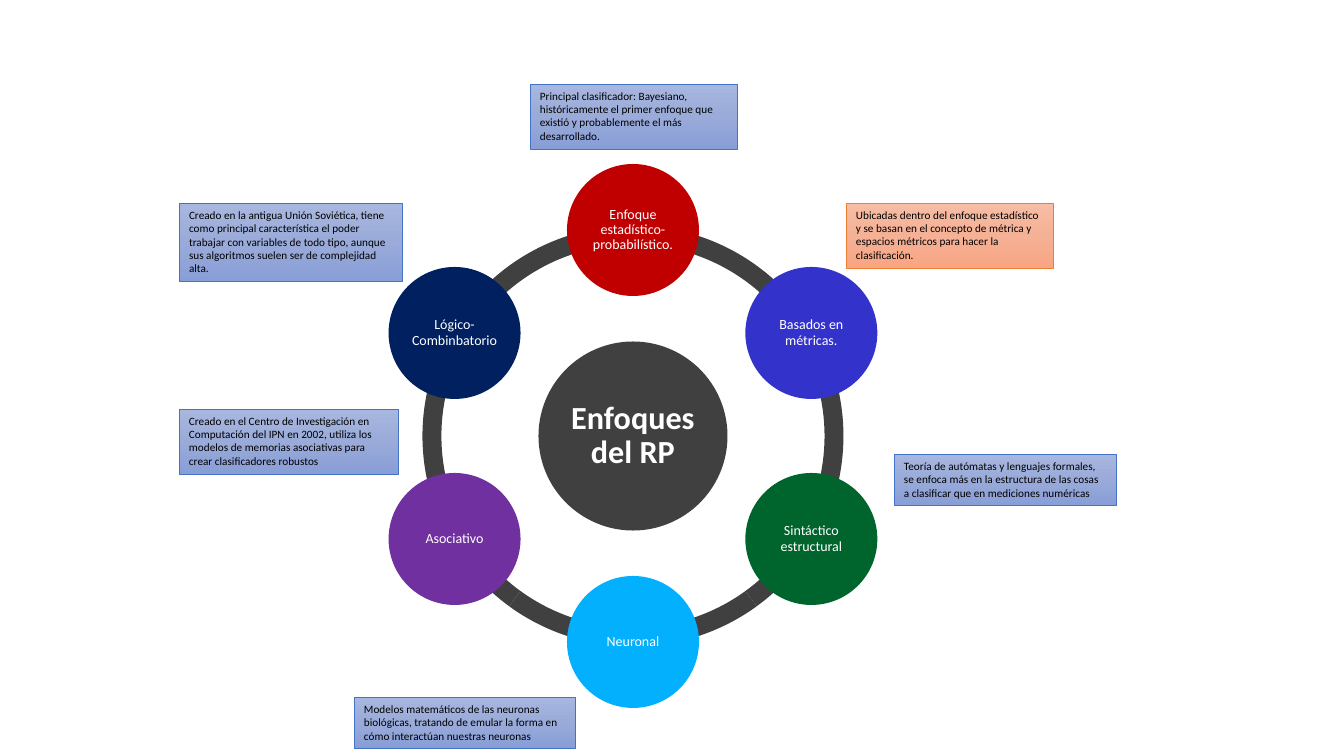
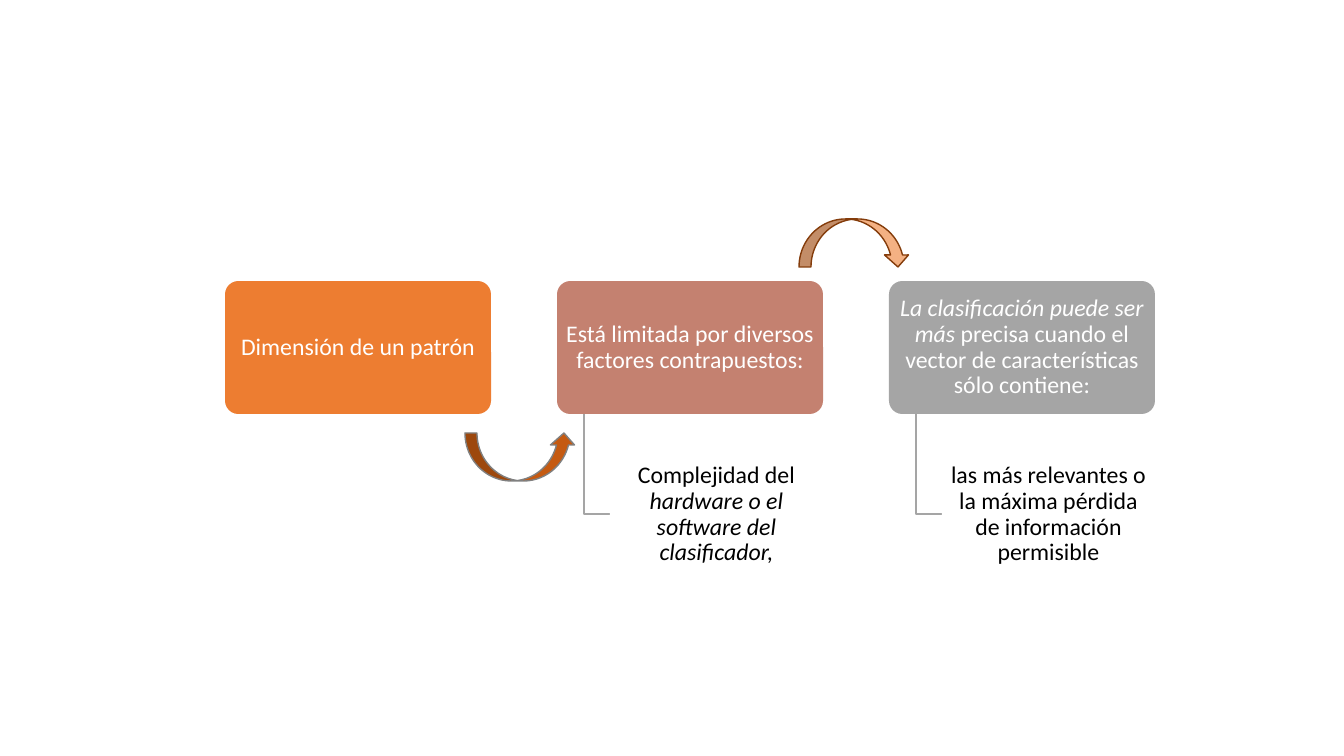
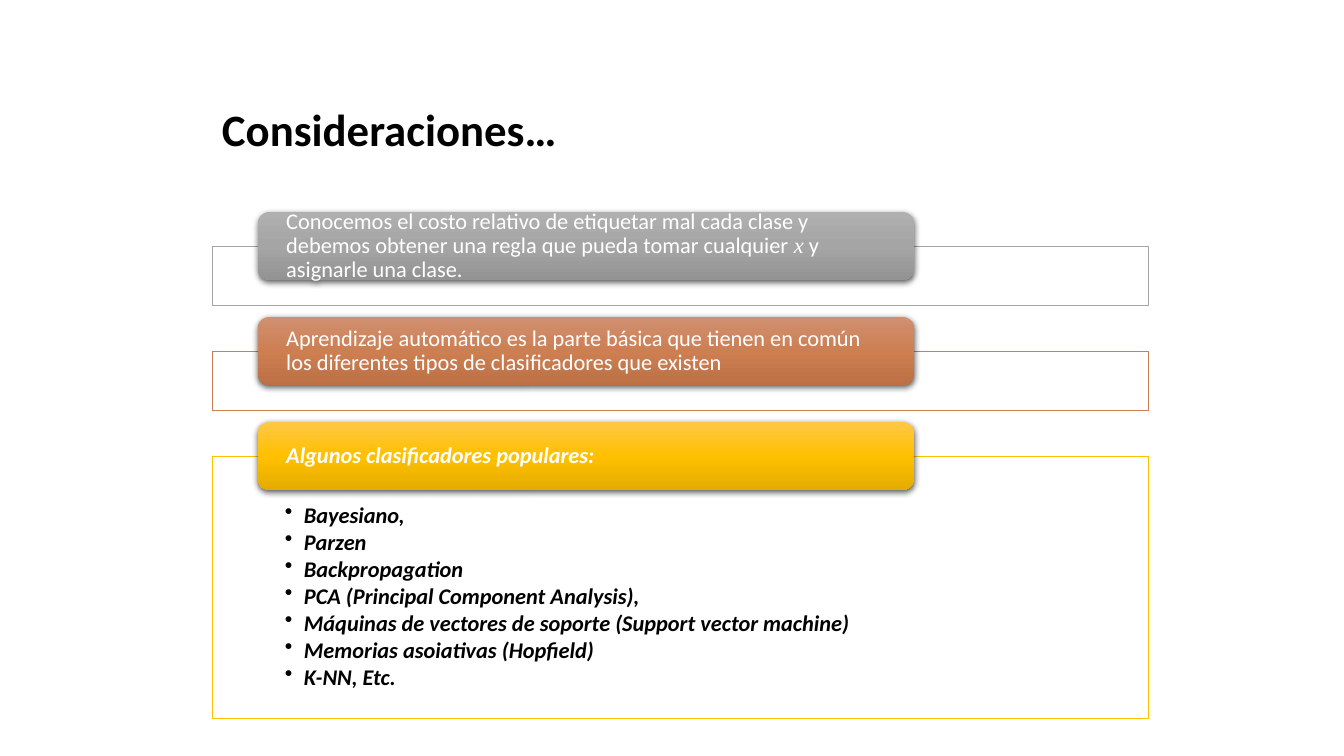
from copy import deepcopy
from dataclasses import dataclass
from itertools import pairwise
from math import cos, radians, sin

from lxml import etree
from pptx import Presentation
from pptx.dml.color import RGBColor
from pptx.enum.shapes import MSO_SHAPE
from pptx.enum.text import MSO_ANCHOR, PP_ALIGN
from pptx.oxml.ns import qn
from pptx.util import Pt

PX = 12192000 / 1344  # EMU in one px
RECTANGLE, ROUNDED, ELLIPSE = MSO_SHAPE.RECTANGLE, MSO_SHAPE.ROUNDED_RECTANGLE, MSO_SHAPE.OVAL
BLOCK_ARC = MSO_SHAPE.BLOCK_ARC
ARROW_UP, ARROW_DOWN = MSO_SHAPE.CURVED_UP_ARROW, MSO_SHAPE.CURVED_DOWN_ARROW
LEFT, CENTER = PP_ALIGN.LEFT, PP_ALIGN.CENTER
TOP, MIDDLE = MSO_ANCHOR.TOP, MSO_ANCHOR.MIDDLE


@dataclass(frozen=True)
class Theme:
    font: str = "Calibri"
    math_font: str = "Times New Roman"
    white: str = "FFFFFF"
    black: str = "000000"
    dark: str = "404040"
    gray: str = "A5A5A5"
    orange: str = "ED7D31"
    blue: str = "4472C4"
    salmon: str = "C48170"
    copper: str = "CD7F52"
    gold: str = "FFC000"
    blue_gradient: tuple = ("A8B7DF", "9AABD9", "889ED7")
    orange_gradient: tuple = ("F7BDA5", "F5B196", "F8A582")
    gray_gradient: tuple = ("AFAFAF", "A5A5A5", "939393")
    copper_gradient: tuple = ("D09070", "CD7F52", "BC7044")
    gold_gradient: tuple = ("FFC746", "FFC000", "E5AC00")
    title_size: int = 32
    hub_size: int = 23
    step_size: int = 17
    body_size: int = 16
    node_size: int = 10
    note_size: int = 8


THEME = Theme()


def add_box(slide, preset, left, top, width, height, fill, line=None, line_width=0.5):
    """Add a preset shape; a tuple of colours as fill gives a vertical gradient."""
    shape = slide.shapes.add_shape(preset, *(round(v * PX) for v in (left, top, width, height)))
    shape.shadow.inherit = False
    if isinstance(fill, tuple):
        shape.fill.gradient()
        shape.fill.gradient_angle = 270
        stops = shape._element.spPr.find(qn("a:gradFill")).find(qn("a:gsLst"))
        stops.append(deepcopy(stops[0]))
        for stop, color, position in zip(shape.fill.gradient_stops, fill, (0, 0.5, 1)):
            stop.color.rgb = RGBColor.from_string(color)
            stop.position = position
    else:
        shape.fill.solid()
        shape.fill.fore_color.rgb = RGBColor.from_string(fill)
    if line:
        shape.line.color.rgb = RGBColor.from_string(line)
        shape.line.width = Pt(line_width)
    else:
        shape.line.fill.background()
    return shape


def write(shape, *paragraphs, size, color=THEME.white, bold=False, italic=False, align=CENTER,
          anchor=MIDDLE, insets=(0, 0, 0, 0), spacing=0.9, space_after=0, bullet=None):
    """Fill a shape with paragraphs: each a string or a list of (text, italic, font) runs."""
    frame = shape.text_frame
    frame.word_wrap = True
    frame.vertical_anchor = anchor
    frame.margin_left, frame.margin_top, frame.margin_right, frame.margin_bottom = (
        round(inset * PX) for inset in insets)
    for index, content in enumerate(paragraphs):
        paragraph = frame.add_paragraph() if index else frame.paragraphs[0]
        if bullet:
            properties = paragraph._p.get_or_add_pPr()
            properties.set("marL", str(round(19 * PX)))
            properties.set("indent", str(round(-19 * PX)))
            etree.SubElement(properties, qn("a:buChar"), char=bullet)
        paragraph.alignment = align
        paragraph.line_spacing = spacing
        paragraph.space_after = Pt(space_after)
        runs = [(content, italic, THEME.font)] if isinstance(content, str) else content
        for text, run_italic, font_name in runs:
            run = paragraph.add_run()
            run.text = text
            run.font.name = font_name
            run.font.size = Pt(size)
            run.font.bold = bold
            run.font.italic = run_italic
            run.font.color.rgb = RGBColor.from_string(color)


presentation = Presentation()
presentation.slide_width = round(1344 * PX)
presentation.slide_height = round(756 * PX)
blank = presentation.slide_layouts[6]

# Slide 1: wheel of approaches
slide = presentation.slides.add_slide(blank)
CENTER_X, CENTER_Y = 633, 436
RING, HUB, NODE, ORBIT = 421, 189, 132, 206

for start, end in pairwise((18, 54, 90, 126, 162, 198, 18)):
    arc = add_box(slide, BLOCK_ARC, CENTER_X - RING / 2, CENTER_Y - RING / 2, RING, RING, THEME.dark)
    arc.adjustments[0] = start * 0.6
    arc.adjustments[1] = end * 0.6
    arc.adjustments[2] = 0.045

hub = add_box(slide, ELLIPSE, CENTER_X - HUB / 2, CENTER_Y - HUB / 2, HUB, HUB, THEME.dark)
write(hub, "Enfoques del RP", size=THEME.hub_size, bold=True, insets=(3, 3, 3, 3))

nodes = (
    ("Enfoque estadístico-probabilístico.", "C00000"),
    ("Basados en métricas.", "3333CC"),
    ("Sintáctico estructural", "00642D"),
    ("Neuronal", "03B0FD"),
    ("Asociativo", "7030A0"),
    ("Lógico-Combinbatorio", "002060"),
)
for index, (label, color) in enumerate(nodes):
    angle = radians(60 * index - 90)
    node = add_box(slide, ELLIPSE, CENTER_X + ORBIT * cos(angle) - NODE / 2,
                   CENTER_Y + ORBIT * sin(angle) - NODE / 2, NODE, NODE, color)
    write(node, label, size=THEME.node_size, insets=(1, 1, 1, 1))

blue_note = (THEME.blue_gradient, THEME.blue)
orange_note = (THEME.orange_gradient, THEME.orange)
notes = (
    (530, 84, 207, 65, blue_note,
     "Principal clasificador: Bayesiano, históricamente el primer enfoque que existió y "
     "probablemente el más desarrollado."),
    (846, 203, 207, 65, orange_note,
     "Ubicadas dentro del enfoque estadístico y se basan en el concepto de métrica y espacios "
     "métricos para hacer la clasificación."),
    (894, 454, 222, 51, blue_note,
     "Teoría de autómatas y lenguajes formales, se enfoca más en la estructura de las cosas a "
     "clasificar que en mediciones numéricas"),
    (354, 697, 221, 51, blue_note,
     "Modelos matemáticos de las neuronas biológicas, tratando de emular la forma en cómo "
     "interactúan nuestras neuronas"),
    (179, 409, 219, 65, blue_note,
     "Creado en el Centro de Investigación en Computación del IPN en 2002, utiliza los modelos "
     "de memorias asociativas para crear clasificadores robustos"),
    (179, 203, 223, 78, blue_note,
     "Creado en la antigua Unión Soviética, tiene como principal característica el poder "
     "trabajar con variables de todo tipo, aunque sus algoritmos suelen ser de complejidad alta."),
)
for left, top, width, height, style, text in notes:
    note = add_box(slide, RECTANGLE, left, top, width, height, *style)
    write(note, text, size=THEME.note_size, color=THEME.black, align=LEFT, anchor=TOP,
          insets=(10, 5, 10, 5), spacing=1)

# Slide 2: pattern dimension
slide = presentation.slides.add_slide(blank)
STEP_LEFT, STEP_TOP, STEP_PITCH, STEP_WIDTH, STEP_HEIGHT = 225, 281, 332, 266, 133
STEP_BOTTOM = STEP_TOP + STEP_HEIGHT
DETAIL_TOP, DETAIL_INDENT, DETAIL_WIDTH = 448, 53, 213
steps = (
    (THEME.orange, "Dimensión de un patrón", None),
    (THEME.salmon, "Está limitada por diversos factores contrapuestos:",
     [("Complejidad del ", False, THEME.font),
      ("hardware o el software del clasificador,", True, THEME.font)]),
    (THEME.gray,
     [("La clasificación puede ser más ", True, THEME.font),
      ("precisa cuando el vector de características sólo contiene:", False, THEME.font)],
     "las más relevantes o la máxima pérdida de información permisible"),
)
for index, (color, heading, detail) in enumerate(steps):
    left = STEP_LEFT + index * STEP_PITCH
    step = add_box(slide, ROUNDED, left, STEP_TOP, STEP_WIDTH, STEP_HEIGHT, color)
    step.adjustments[0] = 0.1
    write(step, heading, size=THEME.step_size, insets=(4, 2, 4, 2))
    if detail:
        branch_left, branch_bottom = left + 27, STEP_BOTTOM + 100
        builder = slide.shapes.build_freeform(branch_left, STEP_BOTTOM, scale=PX)
        builder.add_line_segments(
            [(branch_left, branch_bottom), (left + DETAIL_INDENT, branch_bottom)], close=False)
        branch = builder.convert_to_shape()
        branch.shadow.inherit = False
        branch.fill.background()
        branch.line.color.rgb = RGBColor.from_string(THEME.gray)
        branch.line.width = Pt(1)
        detail_box = add_box(slide, ROUNDED, left + DETAIL_INDENT, DETAIL_TOP,
                             DETAIL_WIDTH, STEP_HEIGHT, THEME.white)
        detail_box.adjustments[0] = 0.1
        write(detail_box, detail, size=THEME.step_size, color=THEME.black, insets=(4, 2, 4, 2))

add_box(slide, ARROW_UP, 465, 433, 111, 48, "C55A11", "808080", 1)
add_box(slide, ARROW_DOWN, 799, 219, 111, 48, "F4B183", "843C0B", 1)

# Slide 3: considerations
slide = presentation.slides.add_slide(blank)
title = slide.shapes.add_textbox(*(round(v * PX) for v in (212, 100, 857, 64)))
write(title, "Consideraciones…", size=THEME.title_size, color=THEME.black, bold=True,
      align=LEFT, insets=(10, 5, 10, 5))

classifiers = (
    "Bayesiano,",
    "Parzen",
    "Backpropagation",
    "PCA (Principal Component Analysis),",
    "Máquinas de vectores de soporte (Support vector machine)",
    "Memorias asoiativas (Hopfield)",
    "K-NN, Etc.",
)
sections = (
    (THEME.gray, THEME.gray_gradient, 59, False, (),
     [("Conocemos el costo relativo de etiquetar mal cada clase y debemos obtener una regla que "
       "pueda tomar cualquier ", False, THEME.font),
      ("x", True, THEME.math_font),
      (" y asignarle una clase.", False, THEME.font)]),
    (THEME.copper, THEME.copper_gradient, 59, False, (),
     "Aprendizaje automático es la parte básica que tienen en común los diferentes tipos de "
     "clasificadores que existen"),
    (THEME.gold, THEME.gold_gradient, 262, True, classifiers, "Algunos clasificadores populares:"),
)
for index, (color, gradient, height, emphasis, items, heading) in enumerate(sections):
    top = 212 + index * 105
    panel = add_box(slide, RECTANGLE, 212, top + 34, 936, height, THEME.white, color)
    if items:
        write(panel, *items, size=THEME.body_size, color=THEME.black, bold=True, italic=True,
              align=LEFT, anchor=TOP, insets=(73, 48, 73, 12), space_after=2, bullet="•")
    header = add_box(slide, ROUNDED, 258, top, 656, 68, gradient)
    effects = header._element.spPr.find(qn("a:effectLst"))
    shadow = etree.SubElement(effects, qn("a:outerShdw"), blurRad=str(Pt(4.5)),
                              dist=str(Pt(1.5)), dir="5400000", rotWithShape="0")
    shadow_color = etree.SubElement(shadow, qn("a:srgbClr"), val=THEME.black)
    etree.SubElement(shadow_color, qn("a:alpha"), val="63000")
    write(header, heading, size=THEME.body_size, bold=emphasis, italic=emphasis, align=LEFT,
          insets=(25, 0, 25, 0))

presentation.save("out.pptx")
